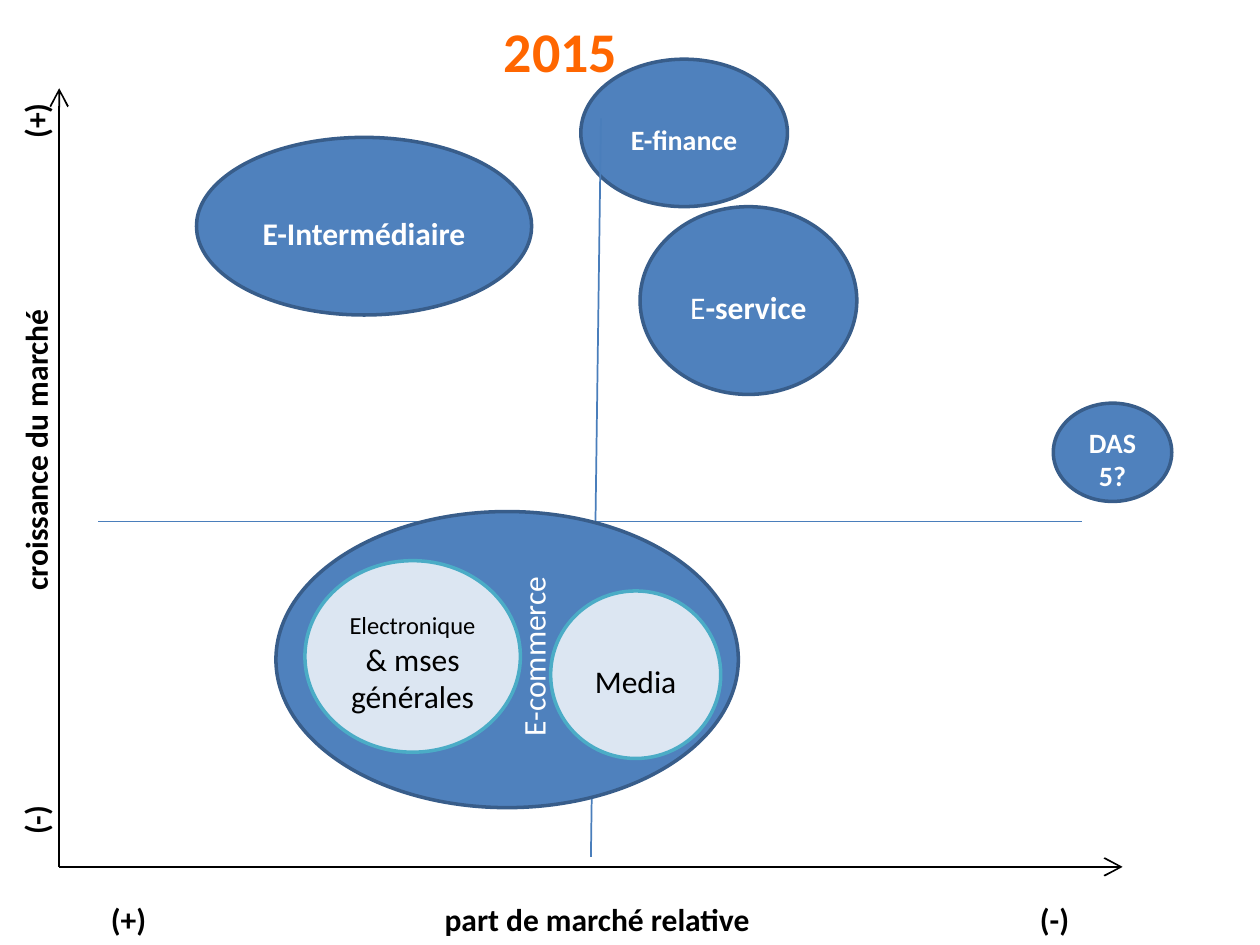
from lxml import etree
from pptx import Presentation
from pptx.dml.color import RGBColor
from pptx.enum.shapes import MSO_CONNECTOR, MSO_SHAPE
from pptx.enum.text import MSO_ANCHOR, PP_ALIGN
from pptx.oxml.ns import qn
from pptx.util import Inches, Pt

FONT = "Calibri"
BLACK, WHITE, ORANGE = "000000", "FFFFFF", "FF6600"
DIVIDER = "4A7EBB"
DARK_BUBBLE = ("4F81BD", "385D8A", WHITE)  # fill, outline, text
LIGHT_BUBBLE = ("DCE6F2", "4BACC6", BLACK)

# dx, dy, width, height from the plot corner; colours; paragraphs of (text, size, bold)
BACK_BUBBLE = (4.14, -0.23, 1.64, 1.17, DARK_BUBBLE, [[("E-finance", 16, True)]])
FRONT_BUBBLES = [
    (4.61, 0.94, 1.72, 1.49, DARK_BUBBLE, [[("E", 18, False), ("-service", 18, True)]]),
    (1.72, 3.36, 3.67, 2.35, DARK_BUBBLE, []),
    (1.09, 0.39, 2.66, 1.41, DARK_BUBBLE, [[("E-Intermédiaire", 18, True)]]),
    (1.95, 3.75, 1.71, 1.52, LIGHT_BUBBLE,
     [[("Electronique", 14, False)], [("& mses", 18, False)], [("générales", 18, False)]]),
    (3.90, 3.99, 1.35, 1.33, LIGHT_BUBBLE, [[("Media", 18, False)]]),
    (7.89, 2.50, 0.94, 0.78, DARK_BUBBLE, [[("DAS", 16, True)], [("5?", 16, True)]]),
]


def colour(hex_value):
    return RGBColor.from_string(hex_value)


def write(text_frame, paragraphs, text_colour, top_inset=0.0):
    """Fill a frame with centred paragraphs, each a list of (text, size, bold) runs."""
    text_frame.margin_left = text_frame.margin_right = text_frame.margin_bottom = 0
    text_frame.margin_top = Inches(top_inset)
    text_frame.vertical_anchor = MSO_ANCHOR.MIDDLE
    text_frame.word_wrap = True
    for index, runs in enumerate(paragraphs):
        paragraph = text_frame.add_paragraph() if index else text_frame.paragraphs[0]
        paragraph.alignment = PP_ALIGN.CENTER
        for text, size, bold in runs:
            run = paragraph.add_run()
            run.text = text
            run.font.name = FONT
            run.font.size = Pt(size)
            run.font.bold = bold
            run.font.color.rgb = colour(text_colour)


def add_line(slide, start, end, line_colour, arrow=False):
    points = [Inches(value) for value in (*start, *end)]
    line = slide.shapes.add_connector(MSO_CONNECTOR.STRAIGHT, *points)
    line.line.color.rgb = colour(line_colour)
    line.line.width = Pt(1)
    if arrow:
        head = etree.SubElement(line.line._get_or_add_ln(), qn("a:tailEnd"))
        for key, value in (("type", "arrow"), ("w", "lg"), ("len", "lg")):
            head.set(key, value)
    etree.SubElement(line._element.spPr, qn("a:effectLst"))


def add_label(slide, center_x, center_y, width, run, text_colour, rotation=0):
    height = 0.31
    box = slide.shapes.add_textbox(Inches(center_x - width / 2), Inches(center_y - height / 2),
                                   Inches(width), Inches(height))
    box.rotation = rotation
    write(box.text_frame, [[run]], text_colour)


def add_bubble(slide, plot_left, plot_top, bubble):
    dx, dy, width, height, (fill, outline, text_colour), paragraphs = bubble
    shape = slide.shapes.add_shape(MSO_SHAPE.OVAL, Inches(plot_left + dx), Inches(plot_top + dy),
                                   Inches(width), Inches(height))
    shape.shadow.inherit = False
    shape.fill.solid()
    shape.fill.fore_color.rgb = colour(fill)
    shape.line.color.rgb = colour(outline)
    shape.line.width = Pt(2)
    write(shape.text_frame, paragraphs, text_colour, top_inset=0.1)


def add_title(slide, left, top, width, height):
    title = slide.shapes.title
    title.left, title.top, title.width, title.height = map(Inches, (left, top, width, height))
    write(title.text_frame, [[("2015", 32, True)]], ORANGE)


def add_dividers(slide, left, top):
    add_line(slide, (left + 0.31, top + 3.44), (left + 8.12, top + 3.44), DIVIDER)
    add_line(slide, (left + 4.30, top + 0.24), (left + 4.22, top + 6.10), DIVIDER)


def add_axes(slide, left, top, width, height):
    bottom = top + height
    add_line(slide, (left, bottom), (left + width, bottom), BLACK, arrow=True)
    add_line(slide, (left, bottom), (left, top), BLACK, arrow=True)
    for dx, text, length in ((0.55, "(+)", 0.5), (4.27, "part de marché relative", 3),
                             (7.90, "(-)", 0.5)):
        add_label(slide, left + dx, bottom + 0.41, length, (text, 18, True), BLACK)
    for dy, text, length in ((0.26, "(+)", 0.5), (2.87, "croissance du marché", 3),
                             (5.81, "(-)", 0.5)):
        add_label(slide, left - 0.19, top + dy, length, (text, 18, True), BLACK, 270)


def add_matrix(slide, left, top, width, height):
    add_bubble(slide, left, top, BACK_BUBBLE)
    add_dividers(slide, left, top)
    for bubble in FRONT_BUBBLES:
        add_bubble(slide, left, top, bubble)
    add_label(slide, left + 3.76, top + 4.51, 1.5, ("E-commerce", 18, False), WHITE, 270)
    add_axes(slide, left, top, width, height)


def main():
    presentation = Presentation()
    presentation.slide_width, presentation.slide_height = Inches(10), Inches(7.5)
    slide = presentation.slides.add_slide(presentation.slide_layouts[5])
    add_title(slide, 3.95, 0.13, 1, 0.54)
    add_matrix(slide, 0.47, 0.70, 8.44, 6.18)
    presentation.save("out.pptx")


if __name__ == "__main__":
    main()
